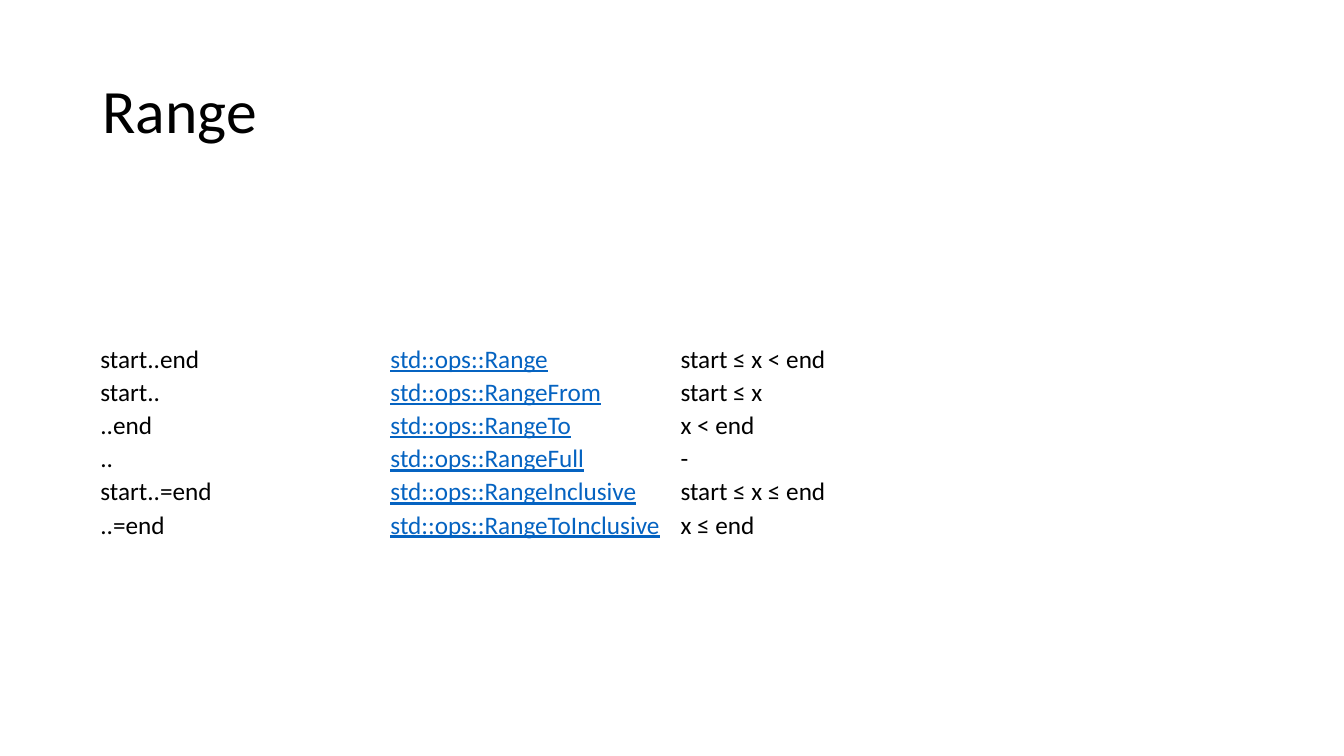
from dataclasses import dataclass

from pptx import Presentation
from pptx.dml.color import RGBColor
from pptx.enum.text import MSO_ANCHOR, PP_ALIGN
from pptx.slide import Slide
from pptx.table import _Cell
from pptx.text.text import _Paragraph
from pptx.util import Cm, Pt

MIDDLE = MSO_ANCHOR.MIDDLE
LEFT = PP_ALIGN.LEFT
TITLE_ONLY_LAYOUT = 5


@dataclass(frozen=True)
class Theme:
    font: str = "Calibri"
    title_size: int = 44
    table_size: int = 18
    text: RGBColor = RGBColor(0x00, 0x00, 0x00)
    link: RGBColor = RGBColor(0x05, 0x63, 0xC1)
    background: RGBColor = RGBColor(0xFF, 0xFF, 0xFF)


@dataclass(frozen=True)
class RangeForm:
    syntax: str
    type_name: str
    condition: str


THEME = Theme()
MARGIN_LEFT = Cm(2.33)
TABLE_TOP = Cm(8.64)
COLUMN_WIDTH = Cm(7.31)
ROW_HEIGHT = Cm(0.83)

TITLE_FORMAT = {
    "left": MARGIN_LEFT,
    "top": Cm(1.01),
    "width": Cm(29.21),
    "height": Cm(3.68),
}
CELL_FORMAT = {
    "vertical_anchor": MIDDLE,
    "margin_left": Cm(0.2),
    "margin_right": Cm(0.2),
    "margin_top": Cm(0.03),
    "margin_bottom": Cm(0.03),
}
PLAIN_TABLE = {"first_row": False, "horz_banding": False}

RANGE_FORMS = [
    RangeForm("start..end", "std::ops::Range", "start ≤ x < end"),
    RangeForm("start..", "std::ops::RangeFrom", "start ≤ x"),
    RangeForm("..end", "std::ops::RangeTo", "x < end"),
    RangeForm("..", "std::ops::RangeFull", "-"),
    RangeForm("start..=end", "std::ops::RangeInclusive", "start ≤ x ≤ end"),
    RangeForm("..=end", "std::ops::RangeToInclusive", "x ≤ end"),
]


def apply_format(target: object, values: dict[str, object]) -> None:
    for name, value in values.items():
        setattr(target, name, value)


def write_text(paragraph: _Paragraph, text: str, size: int,
               color: RGBColor, underline: bool = False) -> None:
    paragraph.alignment = LEFT
    run = paragraph.add_run()
    run.text = text
    apply_format(run.font, {"name": THEME.font, "size": Pt(size), "underline": underline})
    run.font.color.rgb = color


def add_title(slide: Slide, text: str) -> None:
    title = slide.shapes.title
    apply_format(title, TITLE_FORMAT)
    title.text_frame.vertical_anchor = MIDDLE
    paragraph = title.text_frame.paragraphs[0]
    paragraph.line_spacing = 0.9
    write_text(paragraph, text, THEME.title_size, THEME.text)


def fill_cell(cell: _Cell, text: str, is_link: bool) -> None:
    apply_format(cell, CELL_FORMAT)
    cell.fill.solid()
    cell.fill.fore_color.rgb = THEME.background
    color = THEME.link if is_link else THEME.text
    write_text(cell.text_frame.paragraphs[0], text, THEME.table_size, color, is_link)


def add_range_table(slide: Slide, forms: list[RangeForm]) -> None:
    table = slide.shapes.add_table(
        len(forms), 3, MARGIN_LEFT, TABLE_TOP,
        3 * COLUMN_WIDTH, len(forms) * ROW_HEIGHT).table
    apply_format(table, PLAIN_TABLE)
    for row_index, form in enumerate(forms):
        fill_cell(table.cell(row_index, 0), form.syntax, False)
        fill_cell(table.cell(row_index, 1), form.type_name, True)
        fill_cell(table.cell(row_index, 2), form.condition, False)


def main() -> None:
    presentation = Presentation()
    apply_format(presentation, {"slide_width": Cm(33.87), "slide_height": Cm(19.05)})
    slide = presentation.slides.add_slide(presentation.slide_layouts[TITLE_ONLY_LAYOUT])
    slide.background.fill.solid()
    slide.background.fill.fore_color.rgb = THEME.background

    # Heading
    add_title(slide, "Range")

    # Range syntax, type and meaning
    add_range_table(slide, RANGE_FORMS)

    presentation.save("out.pptx")


if __name__ == "__main__":
    main()
